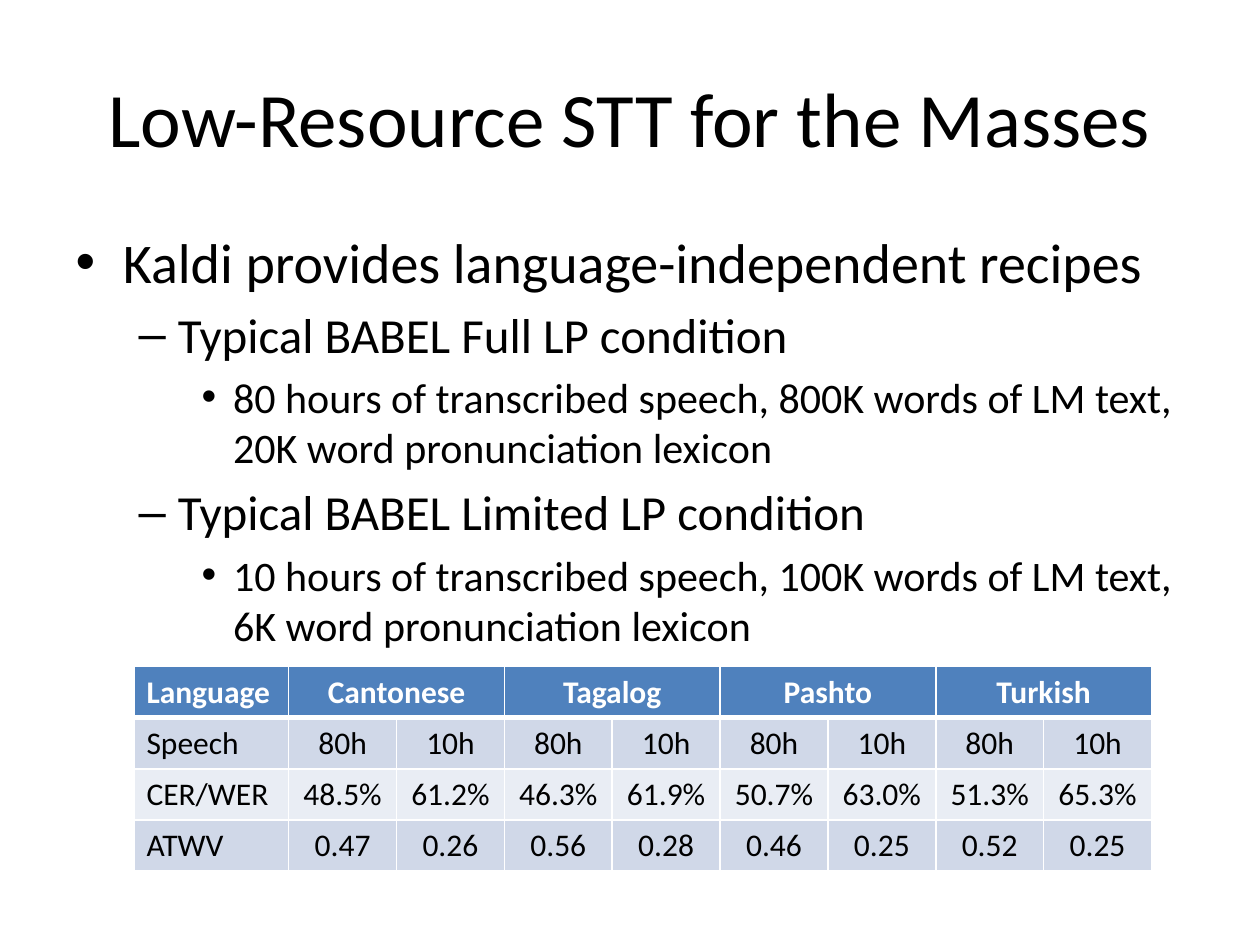
from lxml.etree import SubElement
from pptx import Presentation
from pptx.dml.color import RGBColor
from pptx.enum.text import MSO_ANCHOR as Anchor, MSO_AUTO_SIZE as AutoSize, PP_ALIGN as Align
from pptx.oxml.ns import qn
from pptx.util import Cm, Pt

FONT = "Calibri"
TITLE = "Low-Resource STT for the Masses"
BULLETS = [
    (0, "Kaldi provides language-independent recipes"),
    (1, "Typical BABEL Full LP condition"),
    (2, "80 hours of transcribed speech, 800K words of LM text, 20K word pronunciation lexicon"),
    (1, "Typical BABEL Limited LP condition"),
    (2, "10 hours of transcribed speech, 100K words of LM text, 6K word pronunciation lexicon"),
]
LEVEL_SIZES = [32, 28, 24]
LANGUAGES = ["Cantonese", "Tagalog", "Pashto", "Turkish"]
RESULTS = [
    ["Speech"] + ["80h", "10h"] * len(LANGUAGES),
    ["CER/WER", "48.5%", "61.2%", "46.3%", "61.9%", "50.7%", "63.0%", "51.3%", "65.3%"],
    ["ATWV", "0.47", "0.26", "0.56", "0.28", "0.46", "0.25", "0.52", "0.25"],
]
BLACK, WHITE = "000000", "FFFFFF"
HEADER_FILL, BAND_FILLS = "4F81BD", ["D0D8E8", "E9EDF4"]
LABEL_WIDTH, VALUE_WIDTH, ROW_HEIGHT = Cm(3.12), Cm(2.175), Cm(1.03)


def set_color(color_format, color):
    color_format.rgb = RGBColor.from_string(color)


def style(para, size, color=BLACK, bold=False):
    para.font.name = FONT
    para.font.size = Pt(size)
    para.font.bold = bold
    set_color(para.font.color, color)


def place(box, left, top, width, height):
    box.left, box.top, box.width, box.height = (Cm(n) for n in (left, top, width, height))
    box.text_frame.word_wrap = True
    box.text_frame.auto_size = AutoSize.NONE


def add_borders(cell, bottom):
    properties = cell._tc.get_or_add_tcPr()
    for side, width in (("L", 1), ("R", 1), ("T", 1), ("B", bottom)):
        line = SubElement(properties, qn(f"a:ln{side}"), w=str(Pt(width)))
        fill = SubElement(line, qn("a:solidFill"))
        SubElement(fill, qn("a:srgbClr"), val=WHITE)


def fill_cell(cell, text, fill, color, bold, centered, bottom):
    add_borders(cell, bottom)
    cell.fill.solid()
    set_color(cell.fill.fore_color, fill)
    para = cell.text_frame.paragraphs[0]
    para.text = text
    para.alignment = Align.CENTER if centered else Align.LEFT
    style(para, 18, color, bold)


def add_results(page):
    header = ["Language"] + [text for name in LANGUAGES for text in (name, "")]
    rows = [header] + RESULTS
    width = LABEL_WIDTH + VALUE_WIDTH * (len(header) - 1)
    table = page.shapes.add_table(
        len(rows), len(header), Cm(2.7), Cm(13.44), width, ROW_HEIGHT * len(rows)
    ).table
    for index, column in enumerate(table.columns):
        column.width = VALUE_WIDTH if index else LABEL_WIDTH
    for r, row in enumerate(rows):
        table.rows[r].height = ROW_HEIGHT
        is_header = r == 0
        fill = HEADER_FILL if is_header else BAND_FILLS[(r - 1) % 2]
        color = WHITE if is_header else BLACK
        for c, text in enumerate(row):
            fill_cell(table.cell(r, c), text, fill, color, is_header, c > 0, 3 if is_header else 1)
    for c in range(1, len(header), 2):
        table.cell(0, c).merge(table.cell(0, c + 1))


def main():
    deck = Presentation()
    deck.slide_width, deck.slide_height = Cm(25.4), Cm(19.05)
    page = deck.slides.add_slide(deck.slide_layouts[1])

    title, body = page.shapes.title, page.placeholders[1]
    place(title, 1.27, 0.76, 22.86, 3.18)
    title.text_frame.vertical_anchor = Anchor.MIDDLE
    title.text_frame.text = TITLE
    heading = title.text_frame.paragraphs[0]
    heading.alignment = Align.CENTER
    style(heading, 44)

    place(body, 1.27, 4.45, 22.86, 8.86)
    body.text_frame.text = "\n".join(text for _, text in BULLETS)
    for para, (level, _) in zip(body.text_frame.paragraphs, BULLETS):
        para.level = level
        style(para, LEVEL_SIZES[level])

    add_results(page)
    deck.save("out.pptx")


if __name__ == "__main__":
    main()
